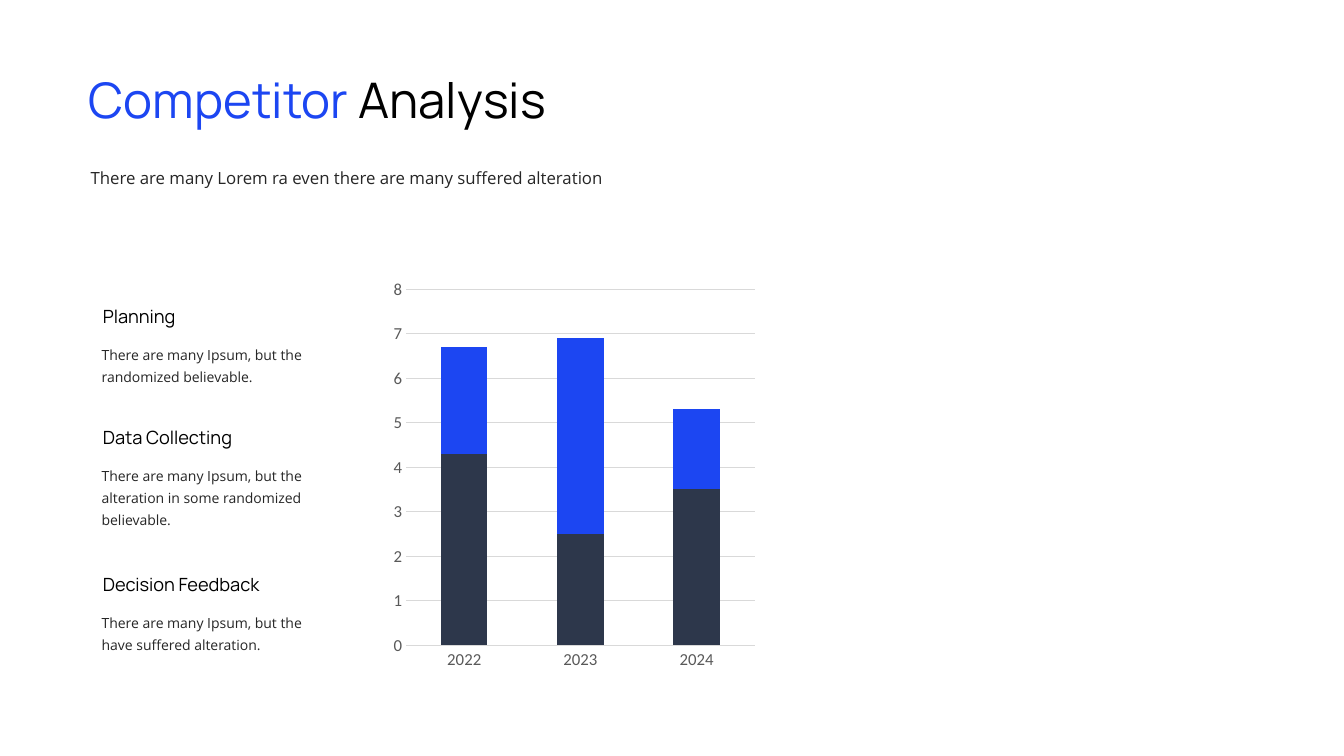
from lxml.etree import SubElement
from pptx import Presentation
from pptx.chart.data import CategoryChartData
from pptx.dml.color import RGBColor
from pptx.enum.chart import XL_CHART_TYPE as ChartType, XL_TICK_MARK as Tick
from pptx.enum.text import MSO_ANCHOR as Anchor, MSO_AUTO_SIZE as AutoSize, PP_ALIGN as Align
from pptx.oxml.ns import qn
from pptx.util import Inches, Pt

COLORS = {"blue": "1C46F2", "navy": "2D374B", "black": "000000",
          "body": "262626", "axis": "595959", "grid": "D9D9D9"}
HEADING_FONT, BODY_FONT, CHART_FONT = "Manrope", "Open Sans", "Calibri"
COLUMNS, ROWS = 133.3, 75
CELL = Inches(0.1)

SECTIONS = [
    (30.5, ["There are many Ipsum, but the", "randomized believable."], "Planning"),
    (42.5, ["There are many Ipsum, but the",
            "alteration in some randomized believable."], "Data Collecting"),
    (57.1, ["There are many Ipsum, but the", "have suffered alteration."], "Decision Feedback"),
]
YEARS = ["2022", "2023", "2024"]
SERIES = [("Series 1", (4.3, 2.5, 3.5), "navy"), ("Series 2", (2.4, 4.4, 1.8), "blue")]


def rgb(name):
    """Return the named palette colour."""
    return RGBColor.from_string(COLORS[name])


def cells(*lengths):
    """Convert grid columns and rows to slide lengths."""
    return [round(length * CELL) for length in lengths]


def write(shape, lines, size, font, spacing, inset=(0.1, 0.05), anchor=Anchor.TOP):
    """Fill a shape with paragraphs, each a list of (text, colour) runs."""
    frame = shape.text_frame
    frame.word_wrap = True
    frame.auto_size = AutoSize.NONE
    frame.vertical_anchor = anchor
    frame.margin_left = frame.margin_right = Inches(inset[0])
    frame.margin_top = frame.margin_bottom = Inches(inset[1])
    for index, line in enumerate(lines):
        paragraph = frame.add_paragraph() if index else frame.paragraphs[0]
        paragraph.alignment = Align.LEFT
        paragraph.line_spacing = spacing
        for text, color in line:
            run = paragraph.add_run()
            run.text = text
            run.font.size = Pt(size)
            run.font.name = font
            run.font.color.rgb = rgb(color)


def add_header(slide, left, top, width):
    """Place the two-colour title and the line beneath it."""
    title = slide.shapes.title
    title.left, title.top, title.width, title.height = cells(left, top, width, 7.1)
    write(title, [[("Competitor", "blue"), (" Analysis", "black")]], 35, HEADING_FONT, Pt(45))
    subtitle = slide.shapes.add_textbox(*cells(left + 0.2, top + 9.9, width - 3.9, 3.1))
    write(subtitle, [[("There are many Lorem ra even there are many suffered alteration", "body")]],
          12, BODY_FONT, Pt(16))


def add_section(slide, left, top, width, heading, lines):
    """Place a heading with its description below."""
    label = slide.shapes.add_textbox(*cells(left + 1.1, top, width - 1.1, 2))
    write(label, [[(heading, "black")]], 13, HEADING_FONT, 0.9, inset=(0, 0), anchor=Anchor.MIDDLE)
    description = slide.shapes.add_textbox(*cells(left, top + 2.8, width, 0.9 + 2.2 * len(lines)))
    write(description, [[(line, "body")] for line in lines], 10, BODY_FONT, Pt(16))


def style_axis(axis):
    """Give an axis its label font and remove its tick marks."""
    axis.major_tick_mark = axis.minor_tick_mark = Tick.NONE
    font = axis.tick_labels.font
    font.size, font.name = Pt(12), CHART_FONT
    font.color.rgb = rgb("axis")


def add_competitor_chart(slide, *box):
    """Place the stacked columns by year."""
    data = CategoryChartData()
    data.categories = YEARS
    for name, values, _ in SERIES:
        data.add_series(name, values)
    chart = slide.shapes.add_chart(ChartType.COLUMN_STACKED, *cells(*box), data).chart
    chart.has_legend = chart.has_title = False
    chart.font.size, chart.font.name = Pt(10), CHART_FONT
    chart.font.color.rgb = rgb("black")

    plot = chart.plots[0]
    plot.vary_by_categories = False
    plot.gap_width, plot.overlap = 150, 100
    for series, (_, _, color) in zip(plot.series, SERIES):
        series.format.fill.solid()
        series.format.fill.fore_color.rgb = rgb(color)

    years, scores = chart.category_axis, chart.value_axis
    style_axis(years)
    style_axis(scores)
    scores.minimum_scale, scores.maximum_scale, scores.major_unit = 0, 8, 1
    scores.has_major_gridlines = True
    scores.format.line.fill.background()
    for line in (years.format.line, scores.major_gridlines.format.line):
        line.width = Pt(0.75)
        line.color.rgb = rgb("grid")


def main():
    """Build and save the competitor analysis slide."""
    deck = Presentation()
    deck.slide_width, deck.slide_height = cells(COLUMNS, ROWS)
    slide = deck.slides.add_slide(deck.slide_layouts[5])
    add_header(slide, 7.8, 6, 58.9)
    for top, lines, heading in SECTIONS:
        add_section(slide, 9.1, top, 25.6, heading, lines)
    add_competitor_chart(slide, 38.3, 26.9, 37.3, 40.3)
    deck.save("out.pptx")


if __name__ == "__main__":
    main()
